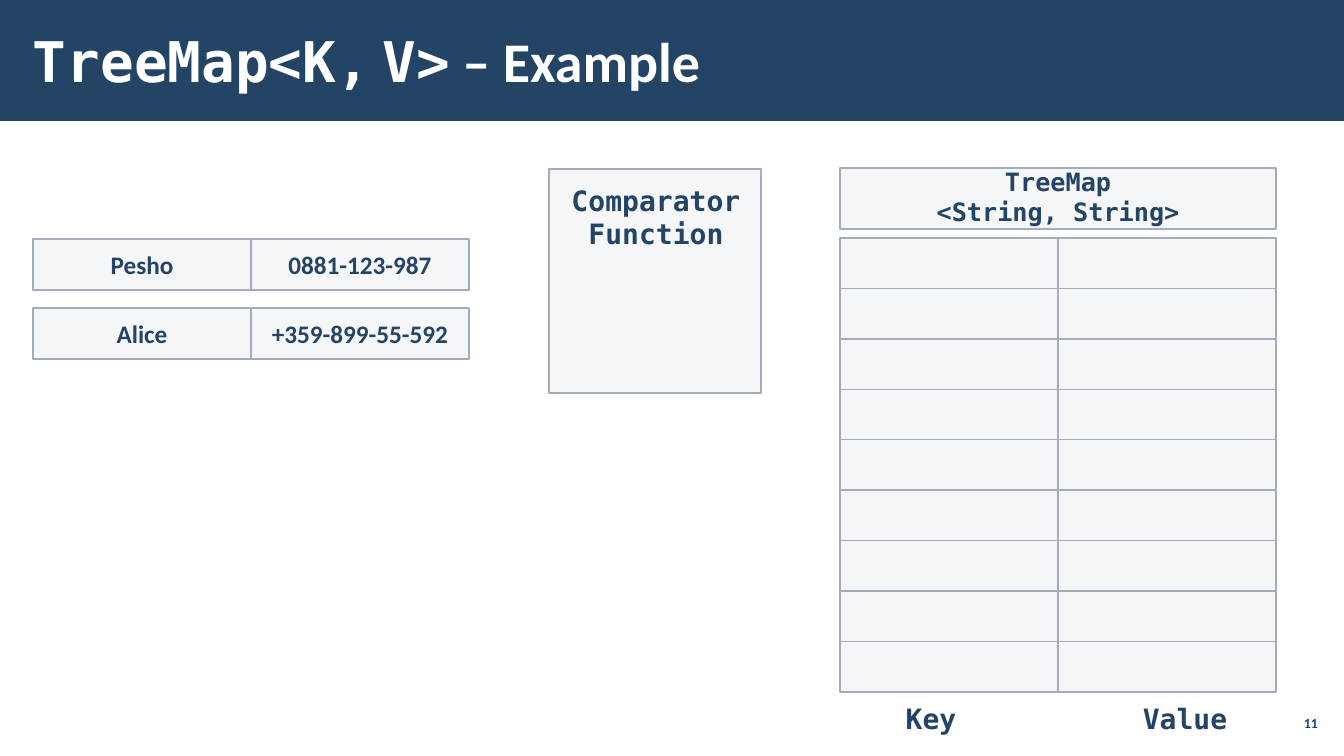
from pptx import Presentation
from pptx.dml.color import RGBColor
from pptx.enum.shapes import MSO_SHAPE
from pptx.enum.text import MSO_ANCHOR, PP_ALIGN
from pptx.util import Pt
from lxml.etree import SubElement
from pptx.oxml.ns import qn

# Content
TITLE = [("TreeMap<K,", "DejaVu Sans Mono"), (" ", "Calibri"),
         ("V>", "DejaVu Sans Mono"), (" – Example", "Calibri")]
ENTRIES = [("Pesho", "0881-123-987"), ("Alice", "+359-899-55-592")]
MAP_TYPE = ["TreeMap", "<String, String>"]
COMPARATOR = ["Comparator\vFunction"]
MAP_LABELS = [("Key", 81), ("Value", 335)]  # text, centre tab in px
SLIDE_NUMBER = "11"

# Style
NAVY = RGBColor(0x23, 0x44, 0x65)
GRAY = RGBColor(0xC2, 0xC7, 0xD2)
EDGE = RGBColor(0xA3, 0xAB, 0xBC)
WHITE = RGBColor(0xFF, 0xFF, 0xFF)
MONO, SANS = "DejaVu Sans Mono", "Calibri"

# Layout in px
SLIDE_W, SLIDE_H = 1344, 756
EMU_PER_PX = 12192000 / SLIDE_W
CELL_W, CELL_H = 218, 51
ENTRY_X, ENTRY_Y, ENTRY_STEP = 33, 239, 69
MAP_X, MAP_Y, MAP_H, MAP_ROWS = 840, 238, 454, 9


def emu(px):
    return round(px * EMU_PER_PX)


prs = Presentation()
prs.slide_width, prs.slide_height = emu(SLIDE_W), emu(SLIDE_H)
s = prs.slides.add_slide(prs.slide_layouts[6])


def add_rect(x, y, w, h, color):
    sp = s.shapes.add_shape(MSO_SHAPE.RECTANGLE, emu(x), emu(y), emu(w), emu(h))
    sp.shadow.inherit = False
    sp.fill.solid()
    sp.fill.fore_color.rgb = color
    sp.line.fill.background()
    return sp


def add_cell(x, y, w, h):
    sp = add_rect(x, y, w, h, GRAY)
    color = sp.fill._xPr.find(qn("a:solidFill")).find(qn("a:srgbClr"))
    SubElement(color, qn("a:alpha")).set("val", "15000")
    sp.line.color.rgb = EDGE
    sp.line.width = Pt(1)
    return sp


def set_frame(tf, anchor, mx, my):
    tf.word_wrap = True
    tf.vertical_anchor = anchor
    tf.margin_left = tf.margin_right = emu(mx)
    tf.margin_top = tf.margin_bottom = emu(my)


def add_text_box(x, y, w, h, anchor=MSO_ANCHOR.TOP, mx=10, my=5):
    tf = s.shapes.add_textbox(emu(x), emu(y), emu(w), emu(h)).text_frame
    set_frame(tf, anchor, mx, my)
    return tf


def style(p, size, font=SANS, color=NAVY, align=PP_ALIGN.CENTER):
    p.alignment = align
    p.font.size, p.font.bold, p.font.color.rgb = Pt(size), True, color
    if font:
        p.font.name = font


def write_lines(tf, lines, size, font=SANS, align=PP_ALIGN.CENTER):
    for i, line in enumerate(lines):
        p = tf.add_paragraph() if i else tf.paragraphs[0]
        p.text = line
        style(p, size, font, align=align)


# Title bar
add_rect(0, 0, SLIDE_W, 121, NAVY)
p = add_text_box(21, 11, 1048, 98, MSO_ANCHOR.MIDDLE, 12, 4).paragraphs[0]
for text, font in TITLE:
    r = p.add_run()
    r.text = text
    r.font.name = font
style(p, 40, None, WHITE, PP_ALIGN.LEFT)

# Entries to be inserted
for i, entry in enumerate(ENTRIES):
    for j, text in enumerate(entry):
        tf = add_cell(ENTRY_X + j * CELL_W, ENTRY_Y + i * ENTRY_STEP,
                      CELL_W, CELL_H).text_frame
        set_frame(tf, MSO_ANCHOR.MIDDLE, 20, 10)
        write_lines(tf, [text], 18)

# Comparator
add_cell(549, 169, 212, 224)
write_lines(add_text_box(554, 178, 204, 78), COMPARATOR, 20, MONO)

# Map header and empty rows
add_cell(MAP_X, 168, 2 * CELL_W, 61)
write_lines(add_text_box(MAP_X, 161, 2 * CELL_W, 78), MAP_TYPE, 18, MONO)
row_h = MAP_H / MAP_ROWS
for i in range(MAP_ROWS):
    for j in range(2):
        add_cell(MAP_X + j * CELL_W, MAP_Y + i * row_h, CELL_W, row_h)

# Column labels on centre tabs
p = add_text_box(MAP_X, 696, 2 * CELL_W, 44).paragraphs[0]
p.text = "".join("\t" + label for label, _ in MAP_LABELS)
tabs = SubElement(p._p.get_or_add_pPr(), qn("a:tabLst"))
for _, pos in MAP_LABELS:
    tab = SubElement(tabs, qn("a:tab"))
    tab.set("pos", str(emu(pos)))
    tab.set("algn", "ctr")
style(p, 20, MONO, align=PP_ALIGN.LEFT)

# Slide number
tf = add_text_box(1275, 706, 47, 34, MSO_ANCHOR.MIDDLE, 4, 4)
write_lines(tf, [SLIDE_NUMBER], 10, align=PP_ALIGN.RIGHT)

prs.save("out.pptx")
